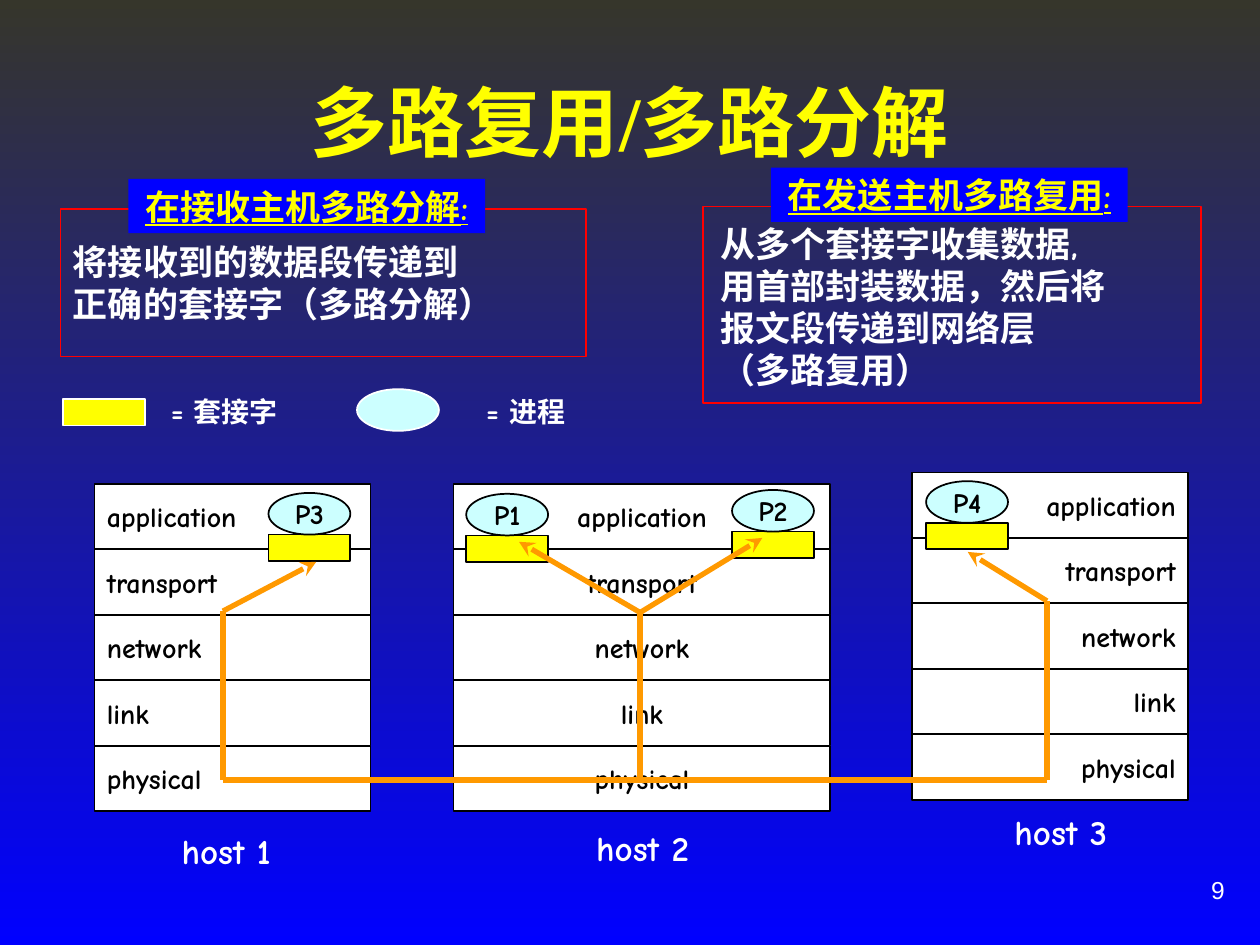
import pptx
import pptx.util
import pptx.dml.color
import pptx.enum.shapes
import pptx.enum.text
import pptx.oxml

Pt = pptx.util.Pt
RGBColor = pptx.dml.color.RGBColor
Shape = pptx.enum.shapes.MSO_SHAPE
Align = pptx.enum.text.PP_ALIGN
Anchor = pptx.enum.text.MSO_ANCHOR

WHITE = RGBColor(0xFF, 0xFF, 0xFF)
BLACK = RGBColor(0, 0, 0)
YELLOW = RGBColor(0xFF, 0xFF, 0)
CYAN = RGBColor(0xCC, 0xFF, 0xFF)
BLUE = RGBColor(0, 0, 0xFF)
SLATE = RGBColor(0x36, 0x36, 0x2B)
RED = RGBColor(0xFF, 0, 0)
ORANGE = RGBColor(0xFF, 0x99, 0)

FONT = "Comic Neue"
LAYERS = ["application", "transport", "network", "link", "physical"]
ROW = 37.4
ICON, OVAL, SOCK = 46.8, 23.8, 15.1
BUS = 445.7


def write(shape, lines, size, color, align=Align.CENTER, anchor=Anchor.MIDDLE,
          font=FONT, bold=True, under=None, wrap=False):
    frame = shape.text_frame
    frame.word_wrap = wrap
    frame.vertical_anchor = anchor
    frame.text = "\n".join(lines)
    for para in frame.paragraphs:
        para.alignment = align
        para.font.name = font
        para.font.size = Pt(size)
        para.font.bold = bold
        para.font.underline = under
        para.font.color.rgb = color


def label(slide, box, lines, size, color, **style):
    text = slide.shapes.add_textbox(*map(Pt, box))
    write(text, lines, size, color, **style)


def block(slide, kind, box, fill=None, line=None):
    shape = slide.shapes.add_shape(kind, *map(Pt, box))
    shape.shadow.inherit = False
    if fill is None:
        shape.fill.background()
    else:
        shape.fill.solid()
        shape.fill.fore_color.rgb = fill
    if line is None:
        shape.line.fill.background()
    else:
        shape.line.color.rgb = line
        shape.line.width = Pt(1)
    return shape


def wire(slide, start, end, arrow=False):
    line = slide.shapes.add_connector(
        pptx.enum.shapes.MSO_CONNECTOR.STRAIGHT, *map(Pt, start + end))
    line.line.color.rgb = ORANGE
    line.line.width = Pt(3)
    props = line._element.spPr
    if arrow:
        tail = pptx.oxml.ns.qn("a:tailEnd")
        line.line._get_or_add_ln().append(props.makeelement(tail, {"type": "stealth"}))
    props.append(props.makeelement(pptx.oxml.ns.qn("a:effectLst"), {}))


def host(slide, box, align, name, foot):
    """Stack the layers from the box's top; centre the name in foot."""
    left, top, width = box
    for row, layer in enumerate(LAYERS):
        cell = block(slide, Shape.RECTANGLE, (left, top + row * ROW, width, ROW),
                     WHITE, BLACK)
        write(cell, [layer], 16, BLACK, align=align, wrap=True)
    label(slide, foot, [name], 20, WHITE, anchor=Anchor.TOP)


def process(slide, left, top, name):
    """Draw a process with its socket directly beneath."""
    block(slide, Shape.RECTANGLE, (left, top + OVAL, ICON, SOCK), YELLOW, BLACK)
    oval = block(slide, Shape.OVAL, (left, top, ICON, OVAL), CYAN, BLACK)
    write(oval, [name], 16, BLACK)


def paths(slide):
    """Join the hosts by a bus, with a riser and arrows for each."""
    risers = [
        (127.4, 349.2, [(180.7, 321.1)]),
        (365.8, 350, [(296.6, 309.6), (435.6, 307.4)]),
        (598.3, 343.4, [(553, 315.4)]),
    ]
    wire(slide, (risers[0][0], BUS), (risers[-1][0], BUS))
    for x, top, tips in risers:
        wire(slide, (x, BUS), (x, top))
        for tip in tips:
            wire(slide, (x, top), tip, arrow=True)


def panel(slide, frame, body, tag, lines, head, anchor):
    block(slide, Shape.RECTANGLE, frame, line=RED)
    label(slide, body, lines, 20, WHITE, align=Align.LEFT, anchor=anchor, wrap=True)
    strip = block(slide, Shape.RECTANGLE, tag, BLUE)
    write(strip, [head], 20, YELLOW, anchor=Anchor.TOP, under=True)


def legend(slide, left, top):
    block(slide, Shape.RECTANGLE, (left, top + 6, ICON, SOCK), YELLOW, WHITE)
    label(slide, (left + 52.6, top, 79.2, 26.6), ["= 套接字"], 16, WHITE,
          anchor=Anchor.TOP)
    block(slide, Shape.OVAL, (left + 168, top + 0.4, ICON, OVAL), CYAN, WHITE)
    label(slide, (left + 232.6, top, 63.4, 26.6), ["= 进程"], 16, WHITE,
          anchor=Anchor.TOP)


def main():
    deck = pptx.Presentation()
    deck.slide_width, deck.slide_height = Pt(720), Pt(540)
    slide = deck.slides.add_slide(deck.slide_layouts[6])
    back = slide.background.fill
    back.gradient()
    back.gradient_angle = 270
    for stop, color in zip(back.gradient_stops, (SLATE, BLUE)):
        stop.color.rgb = color

    label(slide, (54, 23.8, 612, 90), ["多路复用/多路分解"], 44, YELLOW,
          font="Times New Roman", wrap=True)
    label(slide, (516.2, 490.3, 190.8, 36), ["9"], 14, WHITE, align=Align.RIGHT,
          font="Arial", bold=False, wrap=True)

    host(slide, (54, 276.5, 157.7), Align.LEFT, "host 1", (96.5, 470.2, 65.5, 31))
    host(slide, (259.2, 276.5, 215.3), Align.CENTER, "host 2", (333.4, 468.9, 67.7, 31))
    host(slide, (521.3, 270, 157.7), Align.RIGHT, "host 3", (572.4, 459.4, 67.7, 31))
    for left, top, name in [(266.4, 282.2, "P1"), (418.3, 280, "P2"),
                            (153.4, 281.7, "P3"), (529.2, 275, "P4")]:
        process(slide, left, top, name)
    paths(slide)
    legend(slide, 36, 222)

    panel(slide, (34.6, 119.5, 300.2, 84.2), (34.6, 119.5, 300.2, 84.2),
          (73.4, 102.2, 203.8, 31),
          ["将接收到的数据段传递到", "正确的套接字（多路分解）"],
          "在接收主机多路分解:", Anchor.MIDDLE)
    panel(slide, (401.8, 118.1, 284.4, 112.3), (404.6, 123.8, 260, 103.7),
          (440.6, 95.8, 203.8, 31),
          ["从多个套接字收集数据,", "用首部封装数据，然后将",
           "报文段传递到网络层", "（多路复用）"],
          "在发送主机多路复用:", Anchor.TOP)
    deck.save("out.pptx")


if __name__ == "__main__":
    main()
